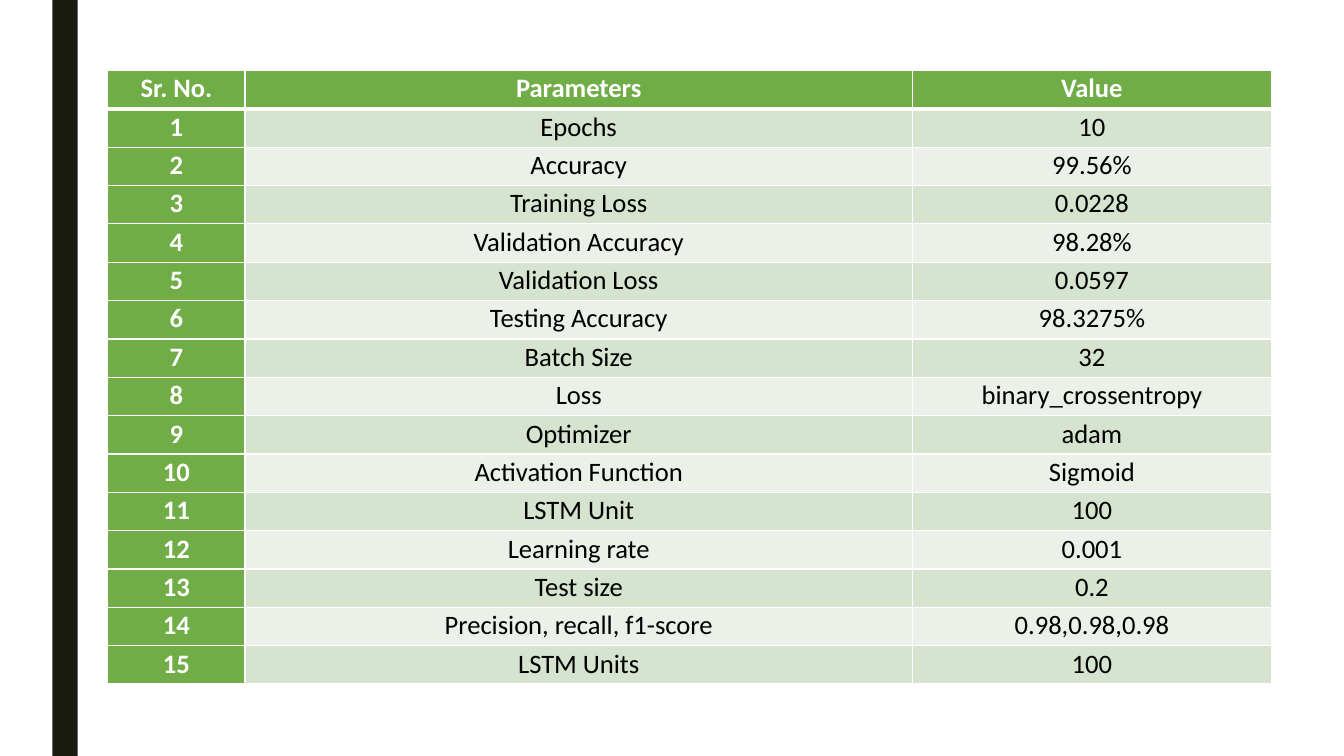
from lxml import etree
from pptx import Presentation
from pptx.dml.color import RGBColor
from pptx.enum.shapes import MSO_SHAPE
from pptx.enum.text import PP_ALIGN
from pptx.oxml.ns import qn
from pptx.util import Inches, Pt

RECTANGLE = MSO_SHAPE.RECTANGLE
CENTER = PP_ALIGN.CENTER

WHITE = RGBColor(0xFF, 0xFF, 0xFF)
BLACK = RGBColor(0x00, 0x00, 0x00)
DARK_OLIVE = RGBColor(0x19, 0x1B, 0x0E)
GREEN = RGBColor(0x70, 0xAD, 0x47)
BAND_DARK = RGBColor(0xD5, 0xE3, 0xCF)
BAND_LIGHT = RGBColor(0xEB, 0xF1, 0xE9)

HEADINGS = ("Sr. No.", "Parameters", "Value")
PARAMETERS = [
    ("Epochs", "10"),
    ("Accuracy", "99.56%"),
    ("Training Loss", "0.0228"),
    ("Validation Accuracy", "98.28%"),
    ("Validation Loss", "0.0597"),
    ("Testing Accuracy", "98.3275%"),
    ("Batch Size", "32"),
    ("Loss", "binary_crossentropy"),
    ("Optimizer", "adam"),
    ("Activation Function", "Sigmoid"),
    ("LSTM Unit", "100"),
    ("Learning rate", "0.001"),
    ("Test size", "0.2"),
    ("Precision, recall, f1-score", "0.98,0.98,0.98"),
    ("LSTM Units", "100"),
]
COLUMN_WIDTHS = (1.36, 6.62, 3.56)
TABLE_HEIGHT = 6.09


def add_side_bar(slide, height):
    bar = slide.shapes.add_shape(RECTANGLE, Inches(0.52), 0, Inches(0.25), height)
    bar.shadow.inherit = False
    bar.fill.solid()
    bar.fill.fore_color.rgb = DARK_OLIVE
    bar.line.fill.background()


def add_borders(cell, top, bottom):
    """Draw white cell borders; top and bottom are widths in points."""
    properties = cell._tc.get_or_add_tcPr()
    for side, width in (("L", 1), ("R", 1), ("T", top), ("B", bottom)):
        line = etree.SubElement(properties, qn(f"a:ln{side}"), w=str(Pt(width)))
        fill = etree.SubElement(line, qn("a:solidFill"))
        etree.SubElement(fill, qn("a:srgbClr"), val=str(WHITE))


def fill_cell(cell, text, background, color, bold):
    cell.fill.solid()
    cell.fill.fore_color.rgb = background
    cell.margin_left = cell.margin_right = Inches(0.12)
    cell.margin_top = cell.margin_bottom = 0
    cell.text = text
    paragraph = cell.text_frame.paragraphs[0]
    paragraph.alignment = CENTER
    paragraph.line_spacing = 1.07
    paragraph.space_after = Pt(8)
    paragraph.font.name = "Calibri"
    paragraph.font.size = Pt(19)
    paragraph.font.bold = bold
    paragraph.font.color.rgb = color


def add_parameter_table(slide):
    numbered = [(str(n), *entry) for n, entry in enumerate(PARAMETERS, 1)]
    rows = [HEADINGS, *numbered]
    table = slide.shapes.add_table(
        len(rows), len(HEADINGS), Inches(1.07), Inches(0.7),
        Inches(sum(COLUMN_WIDTHS)), Inches(TABLE_HEIGHT)).table
    table.first_col = True
    for column, width in zip(table.columns, COLUMN_WIDTHS):
        column.width = Inches(width)
    for r, texts in enumerate(rows):
        table.rows[r].height = Inches(TABLE_HEIGHT / len(rows))
        band = BAND_DARK if r % 2 else BAND_LIGHT
        for c, text in enumerate(texts):
            cell = table.cell(r, c)
            add_borders(cell, top=3 if r == 1 else 1, bottom=3 if r == 0 else 1)
            if r == 0 or c == 0:
                fill_cell(cell, text, GREEN, WHITE, bold=True)
            else:
                fill_cell(cell, text, band, BLACK, bold=False)


def main():
    deck = Presentation()
    deck.slide_width = Inches(13.33)
    deck.slide_height = Inches(7.5)
    slide = deck.slides.add_slide(deck.slide_layouts[6])
    add_side_bar(slide, deck.slide_height)
    add_parameter_table(slide)
    deck.save("out.pptx")


if __name__ == "__main__":
    main()
